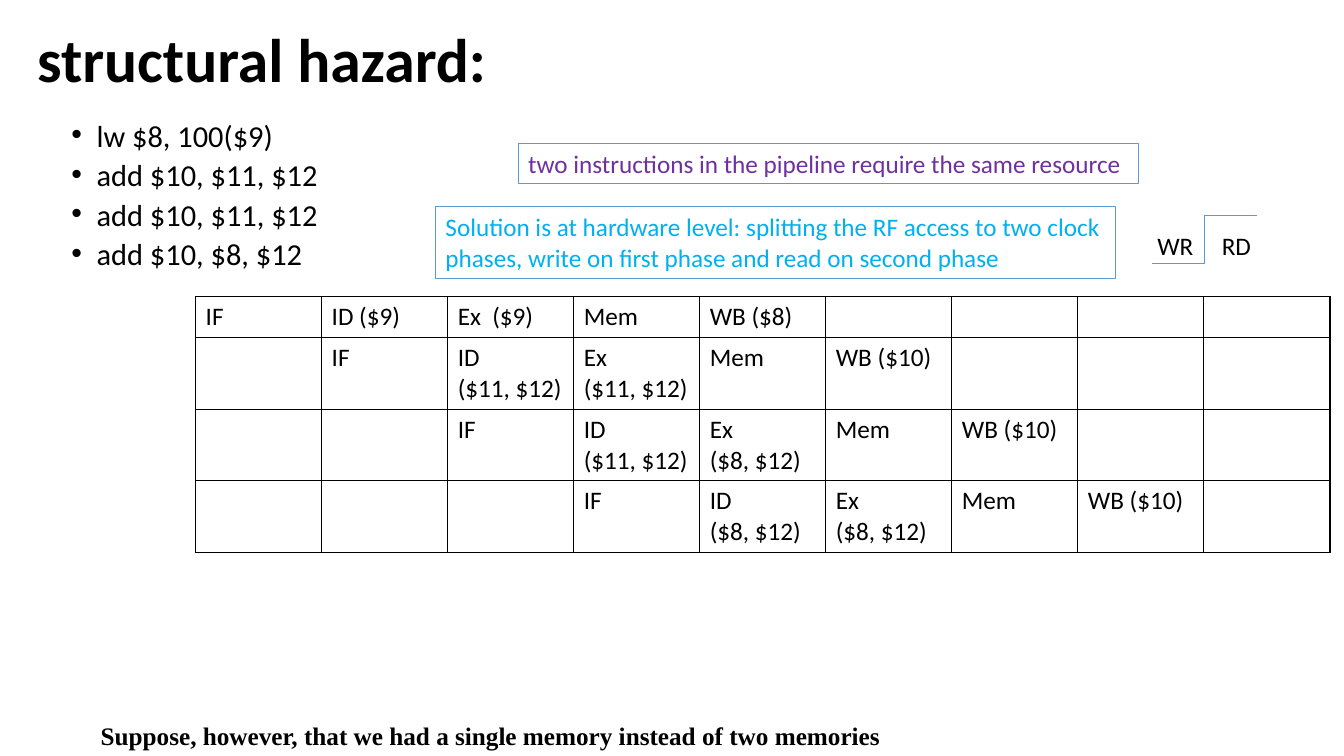
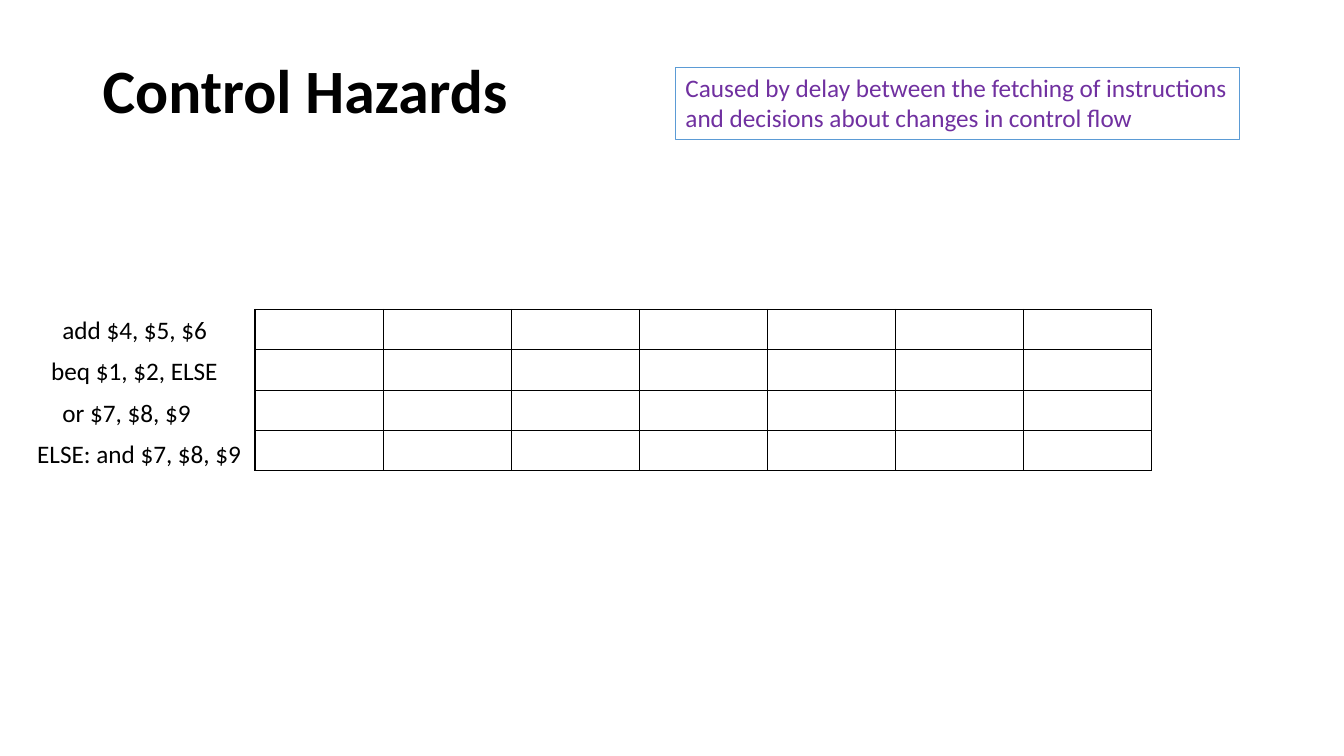
from pptx import Presentation
from pptx.dml.color import RGBColor
from pptx.enum.shapes import MSO_CONNECTOR, MSO_SHAPE
from pptx.enum.text import MSO_ANCHOR, PP_ALIGN
from pptx.oxml.ns import qn
from pptx.util import Pt
from lxml.etree import SubElement

EMU_PER_PX = 9144
BLACK = RGBColor(0x00, 0x00, 0x00)
WHITE = RGBColor(0xFF, 0xFF, 0xFF)
BLUE = RGBColor(0x5B, 0x9B, 0xD5)
PURPLE = RGBColor(0x70, 0x30, 0xA0)
CYAN = RGBColor(0x00, 0xB0, 0xF0)
BODY_FONT = "Calibri"
REMARK_FONT = "Times New Roman"
LABEL_HEIGHT = 40
LABEL_PITCH = 41

LOADS_AND_ADDS = ["lw $8, 100($9)", "add $10, $11, $12", "add $10, $11, $12", "add $10, $8, $12"]
PIPELINE_STAGES = [
    ["IF", "ID ($9)", "Ex  ($9)", "Mem", "WB ($8)"],
    ["IF", "ID\n($11, $12)", "Ex\n($11, $12)", "Mem", "WB ($10)"],
    ["IF", "ID\n($11, $12)", "Ex\n($8, $12)", "Mem", "WB ($10)"],
    ["IF", "ID\n($8, $12)", "Ex\n($8, $12)", "Mem", "WB ($10)"],
]
BRANCH_CODE = [
    (52, 183, "add $4, $5, $6"),
    (41, 194, "beq $1, $2, ELSE"),
    (52, 183, "or $7, $8, $9"),
    (27, 225, "ELSE: and $7, $8, $9"),
]


def px(*lengths):
    return [length * EMU_PER_PX for length in lengths]


def write(frame, text, size=18, color=BLACK, bold=False, font=BODY_FONT):
    frame.word_wrap = True
    frame.text = text
    for paragraph in frame.paragraphs:
        paragraph.alignment = PP_ALIGN.LEFT
        paragraph.font.name = font
        paragraph.font.size = Pt(size)
        paragraph.font.bold = bold
        paragraph.font.color.rgb = color


def add_text(slide, box, text, **style):
    frame = slide.shapes.add_textbox(*px(*box)).text_frame
    write(frame, text, **style)
    return frame


def add_title(slide, box, text):
    title = add_text(slide, box, text, size=44, bold=True)
    title.vertical_anchor = MSO_ANCHOR.MIDDLE
    title.paragraphs[0].line_spacing = 0.9


def add_bullets(slide, box, items):
    bullets = add_text(slide, box, "\n".join(items), size=21.7)
    for paragraph in bullets.paragraphs:
        paragraph.line_spacing = 0.7
        paragraph.space_before = Pt(10)
        properties = paragraph._p.get_or_add_pPr()
        indent, = px(25)
        properties.set("marL", str(indent))
        properties.set("indent", str(-indent))
        bullet_font = properties.makeelement(qn("a:buFont"), {"typeface": "Arial"})
        bullet = properties.makeelement(qn("a:buChar"), {"char": "•"})
        default_font = properties.find(qn("a:defRPr"))
        default_font.addprevious(bullet_font)
        default_font.addprevious(bullet)


def add_note(slide, box, text, color):
    note = slide.shapes.add_shape(MSO_SHAPE.RECTANGLE, *px(*box))
    note.shadow.inherit = False
    note.fill.background()
    note.line.color.rgb = BLUE
    note.line.width = Pt(0.75)
    note.text_frame.vertical_anchor = MSO_ANCHOR.TOP
    write(note.text_frame, text, color=color)


def add_clock_edge(slide, start, end):
    edge = slide.shapes.add_connector(MSO_CONNECTOR.ELBOW, *px(*start, *end))
    edge.line.color.rgb = BLUE
    edge.line.width = Pt(0.5)
    SubElement(edge._element.spPr, qn("a:effectLst"))


def add_borders(cell):
    properties = cell._tc.get_or_add_tcPr()
    for position, side in enumerate(("a:lnL", "a:lnR", "a:lnT", "a:lnB")):
        border = properties.makeelement(qn(side), {"w": str(Pt(1))})
        solid = SubElement(border, qn("a:solidFill"))
        SubElement(solid, qn("a:srgbClr"), val=str(BLACK))
        properties.insert(position, border)


def add_pipeline(slide, left, top, column_width, row_heights, column_count, stages):
    box = px(left, top, column_width * column_count, sum(row_heights))
    pipeline = slide.shapes.add_table(len(row_heights), column_count, *box).table
    pipeline.first_row = False
    pipeline.horz_banding = False
    for column in pipeline.columns:
        column.width, = px(column_width)
    for cycle_offset, height in enumerate(row_heights):
        pipeline.rows[cycle_offset].height, = px(height)
        for cycle in range(column_count):
            cell = pipeline.cell(cycle_offset, cycle)
            cell.fill.solid()
            cell.fill.fore_color.rgb = WHITE
            add_borders(cell)
    for cycle_offset, instruction in enumerate(stages):
        for cycle, stage in enumerate(instruction, cycle_offset):
            write(pipeline.cell(cycle_offset, cycle).text_frame, stage)


def build_structural_hazard(slide):
    add_title(slide, (27, 22, 1220, 81), "structural hazard:")
    add_text(slide, (90, 710, 964, 40),
             "Suppose, however, that we had a single memory instead of two memories",
             bold=True, font=REMARK_FONT)
    add_bullets(slide, (61, 121, 312, 155), LOADS_AND_ADDS)
    add_pipeline(slide, 194, 294, 125, [41, 71, 71, 71], 9, PIPELINE_STAGES)
    add_note(slide, (514, 142, 615, 40),
             "two instructions in the pipeline require the same resource", PURPLE)
    add_note(slide, (432, 205, 674, 71),
             "Solution is at hardware level: splitting the RF access to two clock "
             "phases, write on first phase and read on second phase", CYAN)
    add_clock_edge(slide, (1143, 261), (1247, 214))
    for left, phase in ((1202, "RD"), (1138, "WR")):
        add_text(slide, (left, 224, 56, LABEL_HEIGHT), phase)


def build_control_hazards(slide):
    table_top = 307
    add_title(slide, (92, 40, 454, 106), "Control Hazards")
    add_note(slide, (670, 67, 559, 71),
             "Caused by delay between the fetching of instructions "
             "and decisions about changes in control flow", PURPLE)
    add_pipeline(slide, 253, table_top, 127, [40] * len(BRANCH_CODE), 7, [])
    for row, (left, width, instruction) in enumerate(BRANCH_CODE):
        top = table_top + row * LABEL_PITCH
        add_text(slide, (left, top, width, LABEL_HEIGHT), instruction)


def main():
    deck = Presentation()
    deck.slide_width, deck.slide_height = px(1333, 750)
    blank = deck.slide_layouts[6]
    for build in (build_structural_hazard, build_control_hazards):
        build(deck.slides.add_slide(blank))
    deck.save("out.pptx")


if __name__ == "__main__":
    main()
